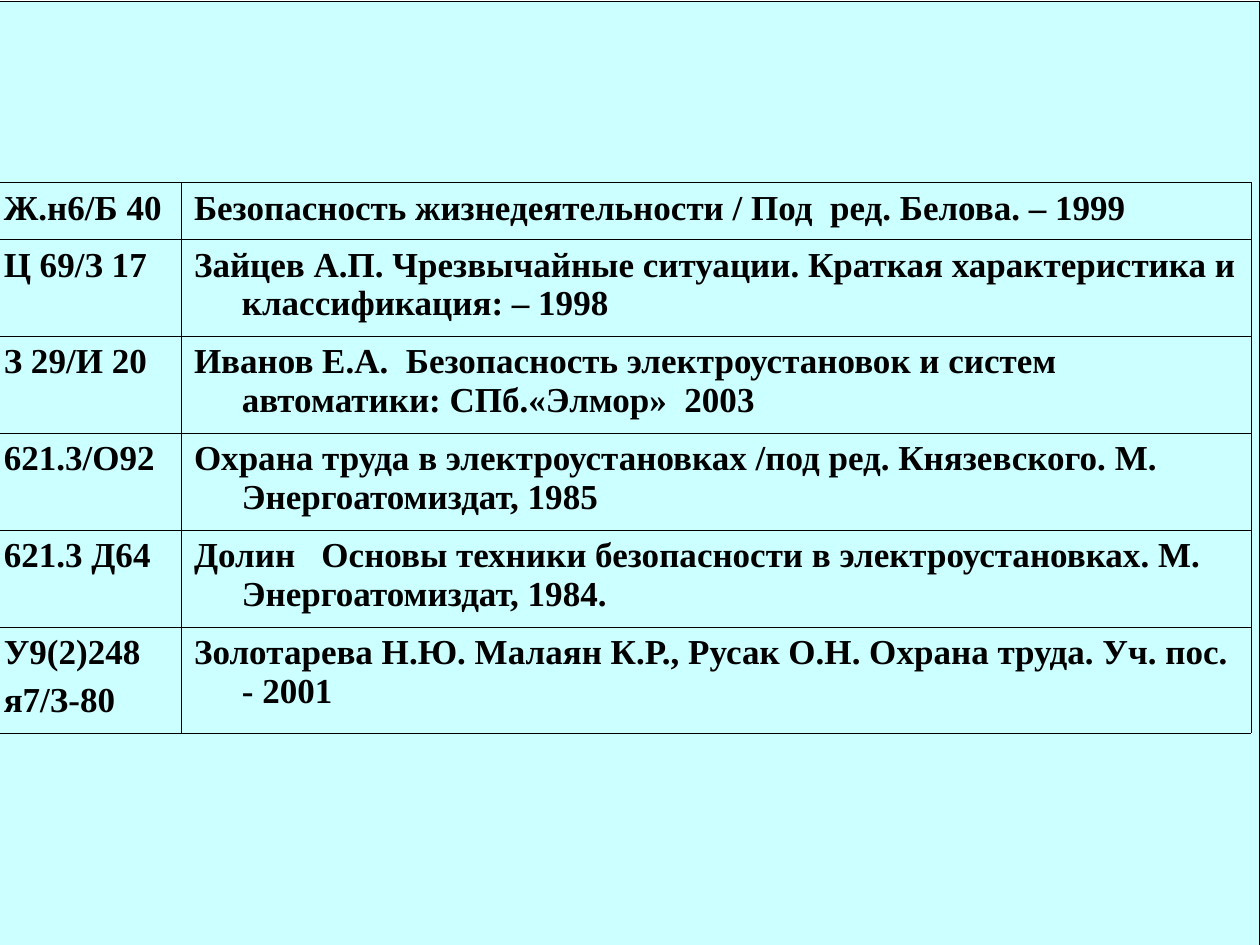
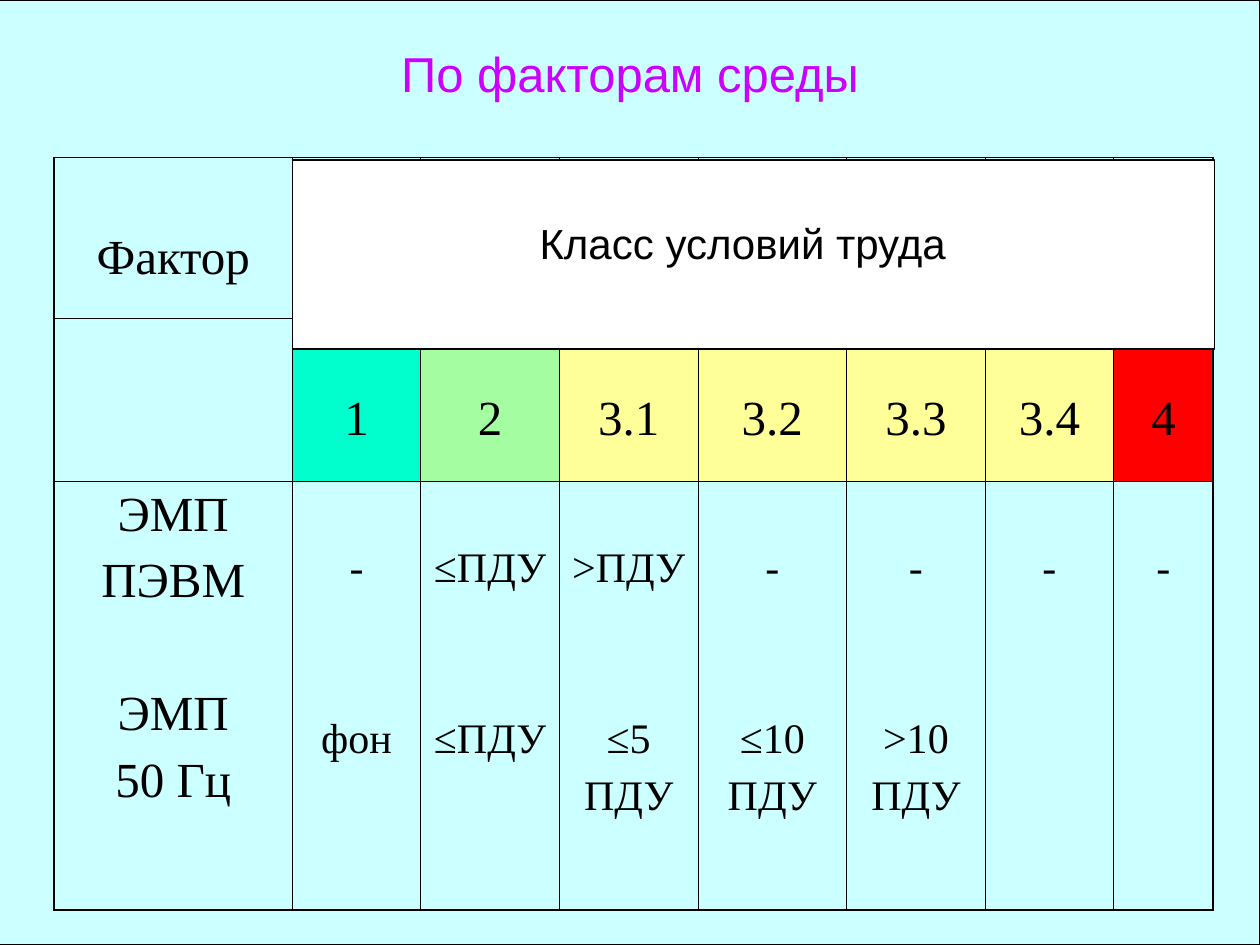
from dataclasses import dataclass

from lxml.etree import SubElement
from pptx import Presentation
from pptx.dml.color import RGBColor
from pptx.enum.shapes import MSO_SHAPE
from pptx.enum.text import PP_ALIGN
from pptx.oxml.ns import qn
from pptx.util import Inches, Pt


@dataclass(frozen=True)
class Theme:
    page: str = "CCFFFF"
    ink: str = "000000"
    white: str = "FFFFFF"
    title: str = "CC00FF"
    optimal: str = "00FFCC"
    acceptable: str = "A5FDA1"
    harmful: str = "FFFF99"
    dangerous: str = "FF0000"
    heading_font: str = "Arial"
    body_font: str = "Times New Roman"
    large: int = 28
    medium: int = 24
    small: int = 20
    outline: float = 0.75
    thin: float = 0.45
    thick: float = 1.08


THEME = Theme()
SPACE_RATIO = 0.25  # space before a paragraph, as a share of its type size
LINE_RATIO = 1.11  # line height of the body font
CELL_TOP = 0.05

BOOKS = [
    ("Ж.н6/Б 40", "Безопасность жизнедеятельности / Под  ред. Белова. – 1999"),
    ("Ц 69/З 17", "Зайцев А.П. Чрезвычайные ситуации. Краткая характеристика и "
                  "классификация: – 1998"),
    ("З 29/И 20", "Иванов Е.А.  Безопасность электроустановок и систем "
                  "автоматики: СПб.«Элмор»  2003"),
    ("621.3/О92", "Охрана труда в электроустановках /под ред. Князевского. М. "
                  "Энергоатомиздат, 1985"),
    ("621.3 Д64", "Долин   Основы техники безопасности в электроустановках. М. "
                  "Энергоатомиздат, 1984."),
    ("У9(2)248\nя7/З-80", "Золотарева Н.Ю. Малаян К.Р., Русак О.Н. Охрана труда. "
                          "Уч. пос.  - 2001"),
]

CLASSES = [
    ("1", THEME.optimal),
    ("2", THEME.acceptable),
    ("3.1", THEME.harmful),
    ("3.2", THEME.harmful),
    ("3.3", THEME.harmful),
    ("3.4", THEME.harmful),
    ("4", THEME.dangerous),
]

# Limits for computers, then for 50 Hz fields
LIMITS = ["-\nфон", "≤ПДУ\n≤ПДУ", ">ПДУ\n≤5\nПДУ", "-\n≤10\nПДУ", "-\n>10\nПДУ", "-", "-"]


def blank_line(size):
    """Height in points of one skipped line with its paragraph space."""
    return size * (SPACE_RATIO + LINE_RATIO)


class SlideBuilder:
    def __init__(self, theme):
        self.theme = theme
        self.deck = Presentation()
        self.deck.slide_width = Inches(10)
        self.deck.slide_height = Inches(7.5)
        self.slide = None

    def new_slide(self, page_top):
        self.slide = self.deck.slides.add_slide(self.deck.slide_layouts[6])
        self.panel(-0.2, page_top, 10.2, 7.5, self.theme.page)

    def panel(self, left, top, width, height, color):
        shape = self.slide.shapes.add_shape(
            MSO_SHAPE.RECTANGLE, Inches(left), Inches(top), Inches(width), Inches(height))
        shape.shadow.inherit = False
        shape.fill.solid()
        shape.fill.fore_color.rgb = RGBColor.from_string(color)
        shape.line.color.rgb = RGBColor.from_string(self.theme.ink)
        shape.line.width = Pt(self.theme.outline)

    def fill_text(self, frame, text, size, font, color, bold=False, align=PP_ALIGN.CENTER):
        frame.text = text
        for index, para in enumerate(frame.paragraphs):
            para.alignment = align
            if index:
                para.space_before = Pt(size * SPACE_RATIO)
            for span in para.runs:
                span.font.name = font
                span.font.size = Pt(size)
                span.font.bold = bold
                span.font.color.rgb = RGBColor.from_string(color)

    def heading(self, left, top, width, height, text, size, color):
        box = self.slide.shapes.add_textbox(
            Inches(left), Inches(top), Inches(width), Inches(height))
        box.text_frame.word_wrap = True
        self.fill_text(box.text_frame, text, size, self.theme.heading_font, color)

    def table(self, left, top, widths, heights, edge):
        """Add an unfilled table with thin inner lines and the given outer edge."""
        rows, columns = len(heights), len(widths)
        frame = self.slide.shapes.add_table(
            rows, columns, Inches(left), Inches(top),
            Inches(sum(widths)), Inches(sum(heights)))
        table = frame.table
        table.first_row = table.horz_banding = False
        for column, width in zip(table.columns, widths):
            column.width = Inches(width)
        for row, height in zip(table.rows, heights):
            row.height = Inches(height)
        for r in range(rows):
            for c in range(columns):
                outer = {"lnL": c == 0, "lnR": c == columns - 1,
                         "lnT": r == 0, "lnB": r == rows - 1}
                cell = table.cell(r, c)
                self.borders(cell, {side: edge if at_edge else self.theme.thin
                                    for side, at_edge in outer.items()})
                cell.fill.background()
        return table

    def borders(self, cell, widths):
        properties = cell._tc.get_or_add_tcPr()
        for side, width in widths.items():
            line = SubElement(properties, qn(f"a:{side}"), w=str(Pt(width)))
            fill = SubElement(line, qn("a:solidFill"))
            SubElement(fill, qn("a:srgbClr"), val=self.theme.ink)

    def cell_text(self, cell, text, size, skipped_lines=0, **style):
        cell.margin_top = Inches(CELL_TOP) + Pt(skipped_lines * blank_line(size))
        self.fill_text(cell.text_frame, text, size,
                       self.theme.body_font, self.theme.ink, **style)


def add_book_list(builder):
    builder.new_slide(page_top=0.01)
    table = builder.table(-0.07, 1.45, [1.51, 8.49], [0.45] + [0.77] * 4 + [0.84], THEME.thin)
    for row, book in enumerate(BOOKS):
        for column, text in enumerate(book):
            cell = table.cell(row, column)
            builder.cell_text(cell, text, THEME.small, bold=True, align=PP_ALIGN.LEFT)
            for para in cell.text_frame.paragraphs:
                properties = para._p.get_or_add_pPr()
                properties.set("marL", str(Inches(0.38)))
                properties.set("indent", str(Inches(-0.38)))


def add_factor_classes(builder):
    builder.new_slide(page_top=0)
    table = builder.table(0.43, 1.25, [1.89, 1.02, 1.1, 1.1, 1.18, 1.1, 1.02, 0.79],
                          [1.28, 1.29, 3.4], THEME.thick)
    builder.cell_text(table.cell(0, 0), "Фактор", THEME.large, skipped_lines=1)

    factors = table.cell(2, 0)
    builder.cell_text(factors, "ЭМП\nПЭВМ\nЭМП\n50 Гц", THEME.large)
    second_factor = factors.text_frame.paragraphs[2]
    second_factor.space_before += Pt(blank_line(THEME.large))

    for column, ((name, color), limits) in enumerate(zip(CLASSES, LIMITS), start=1):
        header = table.cell(1, column)
        builder.cell_text(header, name, THEME.large, skipped_lines=1)
        header.fill.solid()
        header.fill.fore_color.rgb = RGBColor.from_string(color)

        cell = table.cell(2, column)
        builder.cell_text(cell, limits, THEME.medium, skipped_lines=1)
        for para in cell.text_frame.paragraphs[1:2]:
            para.space_before += Pt(2 * blank_line(THEME.medium))

    builder.panel(2.32, 1.27, 7.32, 1.5, THEME.white)
    builder.heading(2.98, 1.68, 5.83, 0.5, "Класс условий труда", THEME.medium, THEME.ink)
    builder.heading(0.43, 0.3, 9.14, 0.57, "По факторам среды", THEME.large, THEME.title)


def main():
    builder = SlideBuilder(THEME)
    add_book_list(builder)
    add_factor_classes(builder)
    builder.deck.save("out.pptx")


if __name__ == "__main__":
    main()
